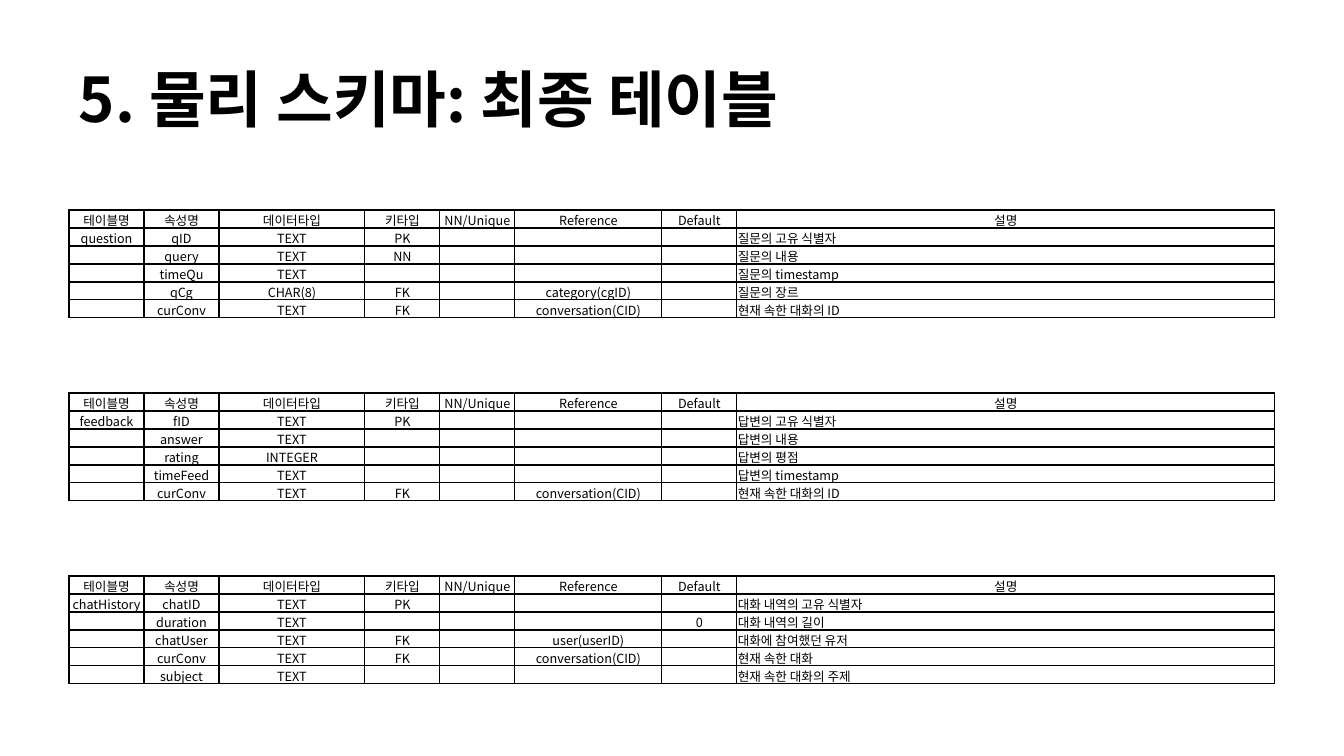
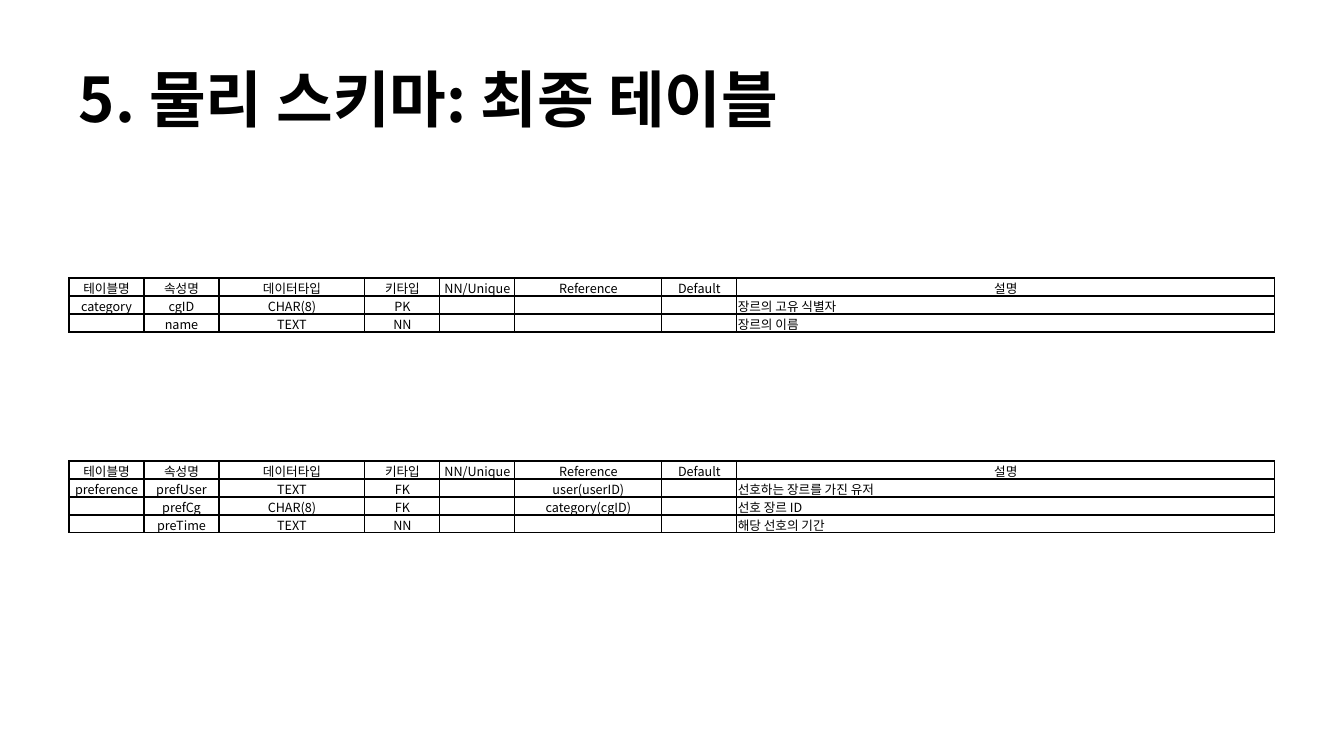
from lxml import etree
from pptx import Presentation
from pptx.dml.color import RGBColor
from pptx.enum.text import MSO_ANCHOR, PP_ALIGN
from pptx.oxml.ns import qn
from pptx.util import Pt

BLACK = RGBColor(0x00, 0x00, 0x00)
WHITE = RGBColor(0xFF, 0xFF, 0xFF)
MIDDLE = MSO_ANCHOR.MIDDLE
CENTER, LEFT = PP_ALIGN.CENTER, PP_ALIGN.LEFT
EMU_PER_PX = 914400 / 100.8


def px(n):
    return round(n * EMU_PER_PX)


class Deck:
    FONT = "Noto Sans CJK KR"
    TITLE = {"size": Pt(44), "bold": True}
    BODY = {"size": Pt(9), "bold": False}
    CELL = {"margin_left": px(1), "margin_right": px(1), "margin_top": px(1),
            "margin_bottom": 0, "vertical_anchor": MIDDLE}
    BORDER = Pt(1)
    X, WIDTH = 69, 1206
    ROW_H = 18
    COLS = (75, 75, 146, 75, 75, 147, 75, 538)
    HEADER = ("테이블명", "속성명", "데이터타입", "키타입", "NN/Unique",
              "Reference", "Default", "설명")

    def __init__(self):
        self.prs = Presentation()
        self.prs.slide_width, self.prs.slide_height = px(1344), px(756)
        self.s = None

    def slide(self, title):
        self.s = self.prs.slides.add_slide(self.prs.slide_layouts[6])
        fill = self.s.background.fill
        fill.solid()
        fill.fore_color.rgb = WHITE
        self.title(title)

    def add_text(self, p, text, style):
        r = p.add_run()
        r.text = text
        for name, value in style.items():
            setattr(r.font, name, value)
        r.font.name = self.FONT
        r.font.color.rgb = BLACK
        # East Asian text takes its font from a:ea
        etree.SubElement(r.font._element, qn("a:ea"), typeface=self.FONT)

    def title(self, text):
        sp = self.s.shapes.add_textbox(px(self.X), px(30), px(self.WIDTH), px(146))
        tf = sp.text_frame
        tf.word_wrap = True
        tf.vertical_anchor = MIDDLE
        p = tf.paragraphs[0]
        p.line_spacing = 0.9
        self.add_text(p, text, self.TITLE)

    def borders(self, cell):
        tcPr = cell._tc.get_or_add_tcPr()
        for side in ("a:lnL", "a:lnR", "a:lnT", "a:lnB"):
            ln = etree.SubElement(tcPr, qn(side), w=str(self.BORDER))
            fill = etree.SubElement(ln, qn("a:solidFill"))
            etree.SubElement(fill, qn("a:srgbClr"), val=str(BLACK))

    def cell(self, cell, text, align):
        for name, value in self.CELL.items():
            setattr(cell, name, value)
        self.borders(cell)
        cell.fill.background()
        p = cell.text_frame.paragraphs[0]
        p.alignment = align
        if text:
            self.add_text(p, text, self.BODY)
        else:
            # Empty cells keep the body size so that rows stay low
            end = p._p.get_or_add_endParaRPr()
            end.set("sz", str(int(self.BODY["size"].pt * 100)))
            for tag in ("a:latin", "a:ea"):
                etree.SubElement(end, qn(tag), typeface=self.FONT)

    def schema(self, y, name, attributes):
        rows = [self.HEADER]
        for i, (attr, kind, key, ref, default, note) in enumerate(attributes):
            rows.append(("" if i else name, attr, kind, key, "", ref, default, note))
        table = self.s.shapes.add_table(
            len(rows), len(self.COLS), px(self.X), px(y),
            px(self.WIDTH), px(self.ROW_H * len(rows))).table
        table.first_row = table.horz_banding = False
        for column, width in zip(table.columns, self.COLS):
            column.width = px(width)
        last = len(self.COLS) - 1
        for i, row in enumerate(rows):
            table.rows[i].height = px(self.ROW_H)
            for j, text in enumerate(row):
                align = LEFT if i and j == last else CENTER
                self.cell(table.cell(i, j), text, align)


# Attribute rows: name, data type, key type, reference, default, description
QUESTION = [
    ("qID", "TEXT", "PK", "", "", "질문의 고유 식별자"),
    ("query", "TEXT", "NN", "", "", "질문의 내용"),
    ("timeQu", "TEXT", "", "", "", "질문의 timestamp"),
    ("qCg", "CHAR(8)", "FK", "category(cgID)", "", "질문의 장르"),
    ("curConv", "TEXT", "FK", "conversation(CID)", "", "현재 속한 대화의 ID"),
]
FEEDBACK = [
    ("fID", "TEXT", "PK", "", "", "답변의 고유 식별자"),
    ("answer", "TEXT", "", "", "", "답변의 내용"),
    ("rating", "INTEGER", "", "", "", "답변의 평점"),
    ("timeFeed", "TEXT", "", "", "", "답변의 timestamp"),
    ("curConv", "TEXT", "FK", "conversation(CID)", "", "현재 속한 대화의 ID"),
]
CHAT_HISTORY = [
    ("chatID", "TEXT", "PK", "", "", "대화 내역의 고유 식별자"),
    ("duration", "TEXT", "", "", "0", "대화 내역의 길이"),
    ("chatUser", "TEXT", "FK", "user(userID)", "", "대화에 참여했던 유저"),
    ("curConv", "TEXT", "FK", "conversation(CID)", "", "현재 속한 대화"),
    ("subject", "TEXT", "", "", "", "현재 속한 대화의 주제"),
]
CATEGORY = [
    ("cgID", "CHAR(8)", "PK", "", "", "장르의 고유 식별자"),
    ("name", "TEXT", "NN", "", "", "장르의 이름"),
]
PREFERENCE = [
    ("prefUser", "TEXT", "FK", "user(userID)", "", "선호하는 장르를 가진 유저"),
    ("prefCg", "CHAR(8)", "FK", "category(cgID)", "", "선호 장르 ID"),
    ("preTime", "TEXT", "NN", "", "", "해당 선호의 기간"),
]

# Each slide: top of the first table, then its tables
SLIDES = [
    (210, {"question": QUESTION, "feedback": FEEDBACK, "chatHistory": CHAT_HISTORY}),
    (278, {"category": CATEGORY, "preference": PREFERENCE}),
]
TABLE_STEP = 183

deck = Deck()
for top, tables in SLIDES:
    deck.slide("5. 물리 스키마: 최종 테이블")
    for n, (name, attributes) in enumerate(tables.items()):
        deck.schema(top + n * TABLE_STEP, name, attributes)
deck.prs.save("out.pptx")
